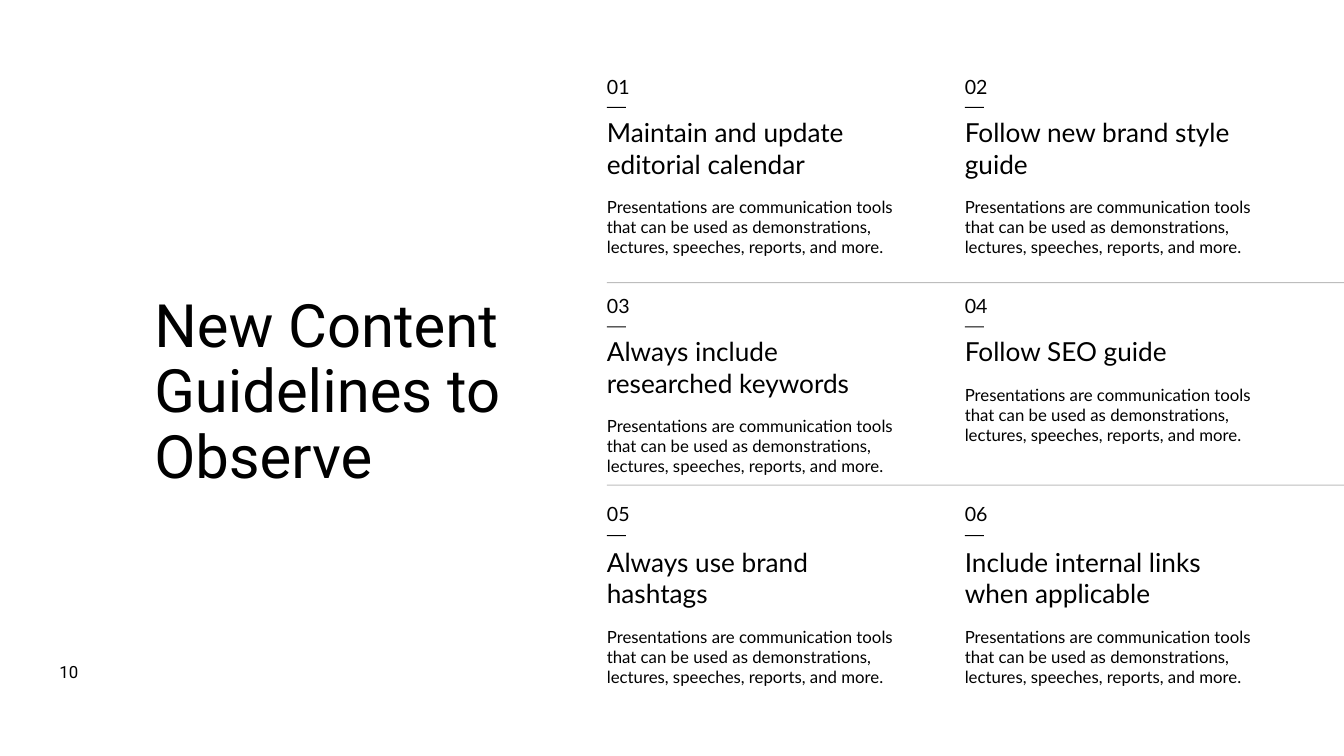
from pptx import Presentation
from pptx.dml.color import RGBColor
from pptx.enum.shapes import MSO_SHAPE as Preset
from pptx.enum.text import MSO_AUTO_SIZE as AutoSize
from pptx.util import Pt

BLACK = "000000"
GREY = "BDBDBD"
SLIDE_WIDTH = 960
COLUMN_LEFTS = (433.5, 689.2)
ROW_TOPS = ((54.7, 76.3, 83.5), (211.7, 233.2, 239.8), (360, 382.3, 390.3))
DIVIDER_TOPS = (201.6, 346.1)
BODY = ("Presentations are communication tools that can be used as "
        "demonstrations, lectures, speeches, reports, and more.")
GUIDELINES = (
    ("Maintain and update editorial calendar", 2),
    ("Follow new brand style guide", 2),
    ("Always include researched keywords", 2),
    ("Follow SEO guide", 1),
    ("Always use brand hashtags", 2),
    ("Include internal links when applicable", 2),
)


def color(hex_code):
    """Return the colour for a hex string."""
    return RGBColor.from_string(hex_code)


def add_rule(shapes, left, top, width, hex_code):
    """Add a hairline horizontal bar."""
    shape = shapes.add_shape(Preset.RECTANGLE, Pt(left), Pt(top), Pt(width), Pt(0.72))
    shape.shadow.inherit = False
    shape.fill.solid()
    shape.fill.fore_color.rgb = color(hex_code)
    shape.line.fill.background()


def add_text(shapes, text, left, top, width, height, size, spacing, font="Lato"):
    """Add a text box without margins and with exact line spacing."""
    box = shapes.add_textbox(Pt(left), Pt(top), Pt(width), Pt(height))
    frame = box.text_frame
    frame.word_wrap = True
    frame.auto_size = AutoSize.SHAPE_TO_FIT_TEXT
    frame.margin_left = frame.margin_right = 0
    frame.margin_top = frame.margin_bottom = 0
    paragraph = frame.paragraphs[0]
    paragraph.line_spacing = Pt(spacing)
    run = paragraph.add_run()
    run.text = text
    run.font.name = font
    run.font.size = Pt(size)
    run.font.color.rgb = color(BLACK)


def add_guideline(slide, number, heading, heading_lines):
    """Add one numbered guideline as a group in its grid cell."""
    row, column = divmod(number - 1, len(COLUMN_LEFTS))
    left = COLUMN_LEFTS[column]
    number_top, rule_top, heading_top = ROW_TOPS[row]
    heading_height = 22.4 * heading_lines
    body_top = heading_top + heading_height + 12.3
    shapes = slide.shapes.add_group_shape().shapes
    add_rule(shapes, left, rule_top, 13.6, BLACK)
    add_text(shapes, BODY, left, body_top, 216, 43.2, 12, 14.4)
    add_text(shapes, heading, left, heading_top, 216, heading_height, 18.7, 22.4)
    add_text(shapes, f"{number:02d}", left, number_top, 39.6, 15.4, 14, 15.4)


def main():
    """Build and save the guidelines slide."""
    presentation = Presentation()
    presentation.slide_width = Pt(SLIDE_WIDTH)
    presentation.slide_height = Pt(540)
    slide = presentation.slides.add_slide(presentation.slide_layouts[6])
    for top in DIVIDER_TOPS:
        add_rule(slide.shapes, COLUMN_LEFTS[0], top, SLIDE_WIDTH - COLUMN_LEFTS[0], GREY)
    add_text(slide.shapes, "New Content Guidelines to Observe",
             110.2, 209.5, 278.6, 142.6, 42.7, 46.9, "Roboto")
    for number, (heading, lines) in enumerate(GUIDELINES, 1):
        add_guideline(slide, number, heading, lines)
    add_text(slide.shapes, "10", 42.5, 470.2, 59, 16, 12, 16.8, "Roboto")
    presentation.save("out.pptx")


if __name__ == "__main__":
    main()
